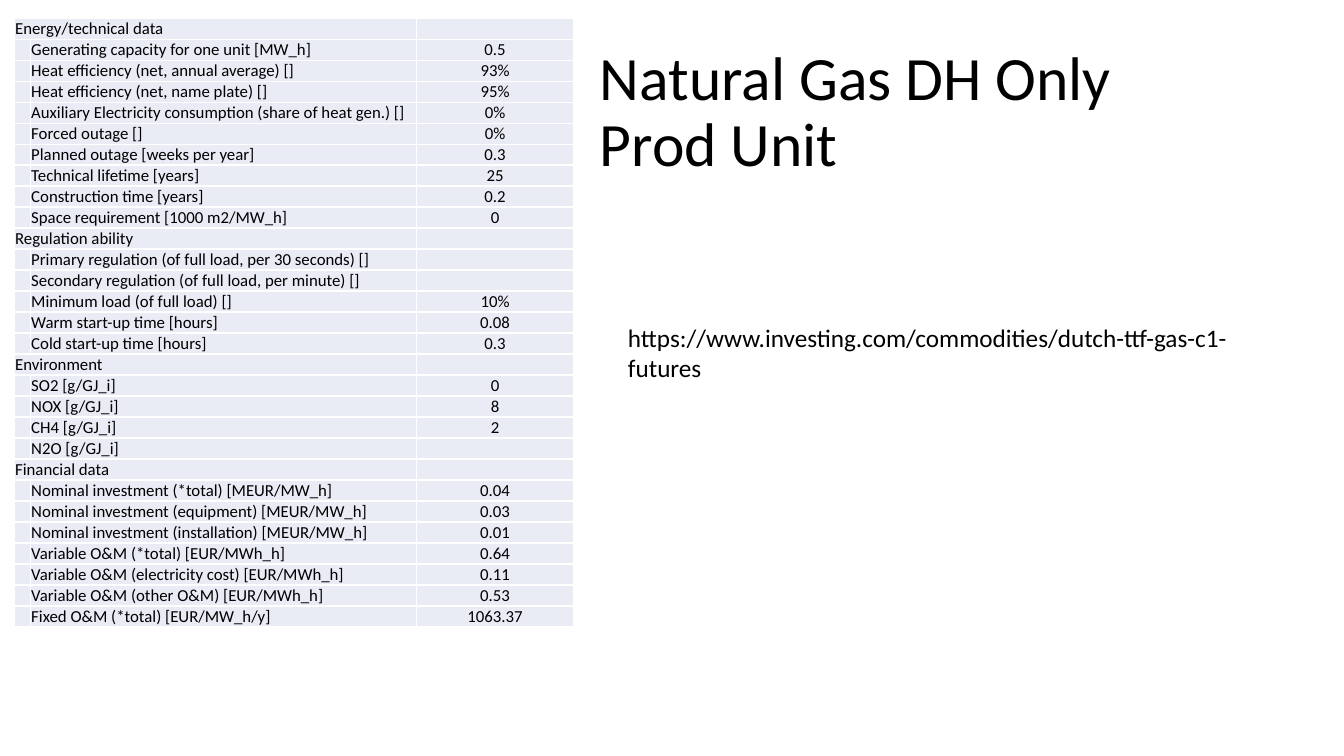
from lxml import etree
from pptx import Presentation
from pptx.dml.color import RGBColor
from pptx.enum.text import MSO_ANCHOR, PP_ALIGN
from pptx.oxml.ns import qn
from pptx.util import Inches, Pt

BLACK = RGBColor(0x00, 0x00, 0x00)
WHITE = RGBColor(0xFF, 0xFF, 0xFF)
PALE = RGBColor(0xE9, 0xEB, 0xF5)
FONT = "Calibri"
BOTTOM, MIDDLE, TOP = MSO_ANCHOR.BOTTOM, MSO_ANCHOR.MIDDLE, MSO_ANCHOR.TOP
CENTER = PP_ALIGN.CENTER

# Each group: heading, then label and value pairs
GROUPS = [
    ("Energy/technical data", [
        ("Generating capacity for one unit [MW_h]", "0.5"),
        ("Heat efficiency (net, annual average) []", "93%"),
        ("Heat efficiency (net, name plate) []", "95%"),
        ("Auxiliary Electricity consumption (share of heat gen.) []", "0%"),
        ("Forced outage []", "0%"),
        ("Planned outage [weeks per year]", "0.3"),
        ("Technical lifetime [years]", "25"),
        ("Construction time [years]", "0.2"),
        ("Space requirement [1000 m2/MW_h]", "0"),
    ]),
    ("Regulation ability", [
        ("Primary regulation (of full load, per 30 seconds) []", ""),
        ("Secondary regulation (of full load, per minute) []", ""),
        ("Minimum load (of full load) []", "10%"),
        ("Warm start-up time [hours]", "0.08"),
        ("Cold start-up time [hours]", "0.3"),
    ]),
    ("Environment", [
        ("SO2 [g/GJ_i]", "0"),
        ("NOX [g/GJ_i]", "8"),
        ("CH4 [g/GJ_i]", "2"),
        ("N2O [g/GJ_i]", ""),
    ]),
    ("Financial data", [
        ("Nominal investment (*total) [MEUR/MW_h]", "0.04"),
        ("Nominal investment (equipment) [MEUR/MW_h]", "0.03"),
        ("Nominal investment (installation) [MEUR/MW_h]", "0.01"),
        ("Variable O&M (*total) [EUR/MWh_h]", "0.64"),
        ("Variable O&M (electricity cost) [EUR/MWh_h]", "0.11"),
        ("Variable O&M (other O&M) [EUR/MWh_h]", "0.53"),
        ("Fixed O&M (*total) [EUR/MW_h/y]", "1063.37"),
    ]),
]


def add_run(para, text, size):
    run = para.add_run()
    run.text = text
    run.font.name = FONT
    run.font.size = Pt(size)
    run.font.color.rgb = BLACK


def style_cell(cell):
    cell.margin_left = cell.margin_right = Inches(0.01)
    cell.margin_top = cell.margin_bottom = 0
    cell.vertical_anchor = BOTTOM
    props = cell._tc.get_or_add_tcPr()
    for side in ("a:lnL", "a:lnR", "a:lnT", "a:lnB"):
        line = etree.SubElement(props, qn(side), w=str(Pt(1)))
        fill = etree.SubElement(line, qn("a:solidFill"))
        etree.SubElement(fill, qn("a:srgbClr"), val=str(WHITE))
    cell.fill.solid()
    cell.fill.fore_color.rgb = PALE
    # Keep empty cells as low as the filled ones
    para = cell.text_frame.paragraphs[0]
    if not para.runs:
        etree.SubElement(para._p, qn("a:endParaRPr"), sz="1200")


prs = Presentation()
prs.slide_width = Inches(13.33)
prs.slide_height = Inches(7.5)
slide = prs.slides.add_slide(prs.slide_layouts[6])

# Data table
rows = []
for head, items in GROUPS:
    rows.append((head, "", ""))
    rows += [("", label, value) for label, value in items]
height = Inches(6.04)
frame = slide.shapes.add_table(len(rows), 3, Inches(0.14), Inches(0.18),
                               Inches(5.55), height)
table = frame.table
table.first_row = False
table.horz_banding = False
for col, width in zip(table.columns, (0.16, 3.83, 1.56)):
    col.width = Inches(width)
for i, texts in enumerate(rows):
    table.rows[i].height = height // len(rows)
    for j, text in enumerate(texts):
        cell = table.cell(i, j)
        para = cell.text_frame.paragraphs[0]
        if text:
            add_run(para, text, 12)
        if j == 2:
            para.alignment = CENTER
        style_cell(cell)
    if texts[0]:
        table.cell(i, 0).merge(table.cell(i, 1))

# Title and link
for text, size, anchor, space, place in (
    ("Natural Gas DH Only Prod Unit", 44, MIDDLE, 0.9,
     (5.85, 0.4, 6.57, 1.45)),
    ("https://www.investing.com/commodities/dutch-ttf-gas-c1-futures", 18,
     TOP, 1.0, (6.13, 3.15, 6.67, 0.71)),
):
    box = slide.shapes.add_textbox(*[Inches(n) for n in place])
    body = box.text_frame
    body.word_wrap = True
    body.vertical_anchor = anchor
    para = body.paragraphs[0]
    para.line_spacing = space
    add_run(para, text, size)

prs.save("out.pptx")
